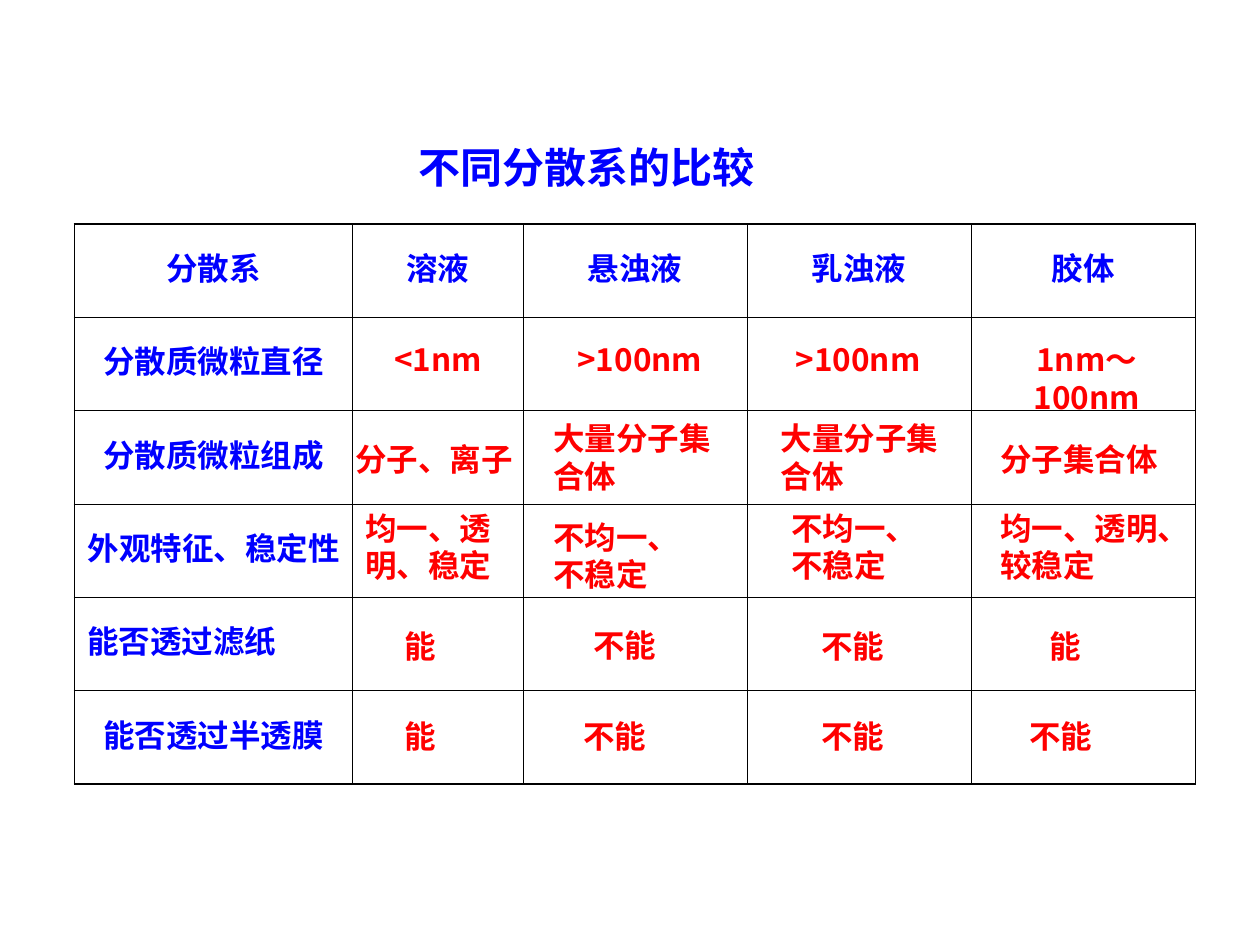
import pptx
import pptx.dml.color
import pptx.enum.text
import pptx.oxml
import pptx.oxml.ns
import pptx.util

Cm = pptx.util.Cm
Pt = pptx.util.Pt
ALIGN = pptx.enum.text.PP_ALIGN
FONT = "Noto Sans CJK SC"
BLUE, RED, BLACK = "0000FF", "FF0000", "000000"
TITLE = {"size": Pt(24), "bold": True, "name": FONT}
BODY = {"size": Pt(18), "bold": True, "name": FONT}
THICK, THIN = 1.08, 0.45

HEADINGS = ["分散系", "溶液", "悬浊液", "乳浊液", "胶体"]
PROPERTIES = ["分散质微粒直径", "分散质微粒组成", "外观特征、稳定性", "能否透过滤纸", "能否透过半透膜"]
COLUMN_WIDTHS = [5.61, 3.43, 4.52, 4.52, 4.52]
ROW_HEIGHT = 1.88

ANSWER_ROWS = [
    [(7.7, 6.73, 2.79, "<1nm", ALIGN.LEFT), (11.3, 6.73, 3.2, ">100nm", ALIGN.CENTER),
     (15.7, 6.73, 3.2, ">100nm", ALIGN.CENTER), (19.71, 6.73, 4.39, "1nm～100nm", ALIGN.CENTER)],
    [(6.91, 8.74, 3.78, "分子、离子", ALIGN.LEFT), (10.9, 8.33, 3.81, "大量分子集合体", ALIGN.LEFT),
     (15.49, 8.33, 3.81, "大量分子集合体", ALIGN.LEFT), (19.91, 8.74, 3.81, "分子集合体", ALIGN.LEFT)],
    [(7.11, 10.13, 3.4, "均一、透\n明、稳定", ALIGN.LEFT), (10.9, 10.31, 4.01, "不均一、\n不稳定", ALIGN.LEFT),
     (15.7, 10.13, 4.01, "不均一、\n不稳定", ALIGN.LEFT), (19.91, 10.13, 4.01, "均一、透明、较稳定", ALIGN.LEFT)],
    [(7.9, 12.52, 1.8, "能", ALIGN.LEFT), (11.71, 12.5, 2.41, "不能", ALIGN.LEFT),
     (16.31, 12.52, 2.41, "不能", ALIGN.LEFT), (20.9, 12.52, 1.8, "能", ALIGN.LEFT)],
    [(7.9, 14.33, 1.8, "能", ALIGN.LEFT), (11.51, 14.33, 2.41, "不能", ALIGN.LEFT),
     (16.31, 14.33, 2.41, "不能", ALIGN.LEFT), (20.5, 14.33, 2.41, "不能", ALIGN.LEFT)],
]


def color(value):
    """Turn a hex string into a colour."""
    return pptx.dml.color.RGBColor.from_string(value)


def write(frame, text, ink, formats, align):
    """Write text into a frame, one paragraph per line."""
    for index, line in enumerate(text.split("\n")):
        para = frame.add_paragraph() if index else frame.paragraphs[0]
        para.alignment = align
        para.line_spacing = Pt(formats["size"].pt * 1.2)
        span = para.add_run()
        span.text = line
        for name, value in formats.items():
            setattr(span.font, name, value)
        span.font.color.rgb = color(ink)
        east_asian = pptx.oxml.ns.qn("a:ea")
        span.font._element.makeelement(east_asian)
        latin = span.font._element.find(pptx.oxml.ns.qn("a:latin"))
        latin.addnext(latin.makeelement(east_asian, {"typeface": formats["name"]}))


def add_text(page, left, top, width, text, align, ink=RED, formats=BODY):
    """Add a wrapping text box that is as tall as its lines."""
    height = formats["size"].cm * 1.2 * len(text.split("\n")) + 0.25
    box = page.shapes.add_textbox(Cm(left), Cm(top), Cm(width), Cm(height))
    frame = box.text_frame
    frame.word_wrap = True
    frame.auto_size = pptx.enum.text.MSO_AUTO_SIZE.SHAPE_TO_FIT_TEXT
    write(frame, text, ink, formats, align)


def set_borders(cell, widths):
    """Draw the left, right, top and bottom lines of a cell."""
    properties = cell._tc.get_or_add_tcPr()
    for index, (side, width) in enumerate(zip("LRTB", widths)):
        line = pptx.oxml.parse_xml(
            f'<a:ln{side} {pptx.oxml.ns.nsdecls("a")} w="{int(Pt(width))}"><a:solidFill>'
            f'<a:srgbClr val="{BLACK}"/></a:solidFill></a:ln{side}>')
        properties.insert(index, line)


def add_grid(page):
    """Add the comparison table with its headings and property names."""
    rows, columns = len(PROPERTIES) + 1, len(HEADINGS)
    table = page.shapes.add_table(rows, columns, Cm(1.5), Cm(4.52), Cm(sum(COLUMN_WIDTHS)),
                                  Cm(ROW_HEIGHT * rows)).table
    table.first_row = table.horz_banding = False
    for column, width in zip(table.columns, COLUMN_WIDTHS):
        column.width = Cm(width)
    for row in range(rows):
        table.rows[row].height = Cm(ROW_HEIGHT)
        for column in range(columns):
            cell = table.cell(row, column)
            cell.fill.background()
            cell.vertical_anchor = pptx.enum.text.MSO_ANCHOR.MIDDLE
            edges = (column == 0, column == columns - 1, row == 0, row == rows - 1)
            set_borders(cell, [THICK if edge else THIN for edge in edges])
            if row == 0 or column == 0:
                text = HEADINGS[column] if row == 0 else PROPERTIES[row - 1]
                align = ALIGN.LEFT if text == "能否透过滤纸" else ALIGN.CENTER
                write(cell.text_frame, text, BLUE, BODY, align)


def main():
    """Build the slide and save it."""
    deck = pptx.Presentation()
    deck.slide_width, deck.slide_height = Cm(25.4), Cm(19.05)
    page = deck.slides.add_slide(deck.slide_layouts[6])
    add_grid(page)
    add_text(page, 5.89, 2.72, 12.07, "不同分散系的比较 ", ALIGN.CENTER, BLUE, TITLE)
    for answers in ANSWER_ROWS:
        for answer in answers:
            add_text(page, *answer)
    deck.save("out.pptx")


if __name__ == "__main__":
    main()
